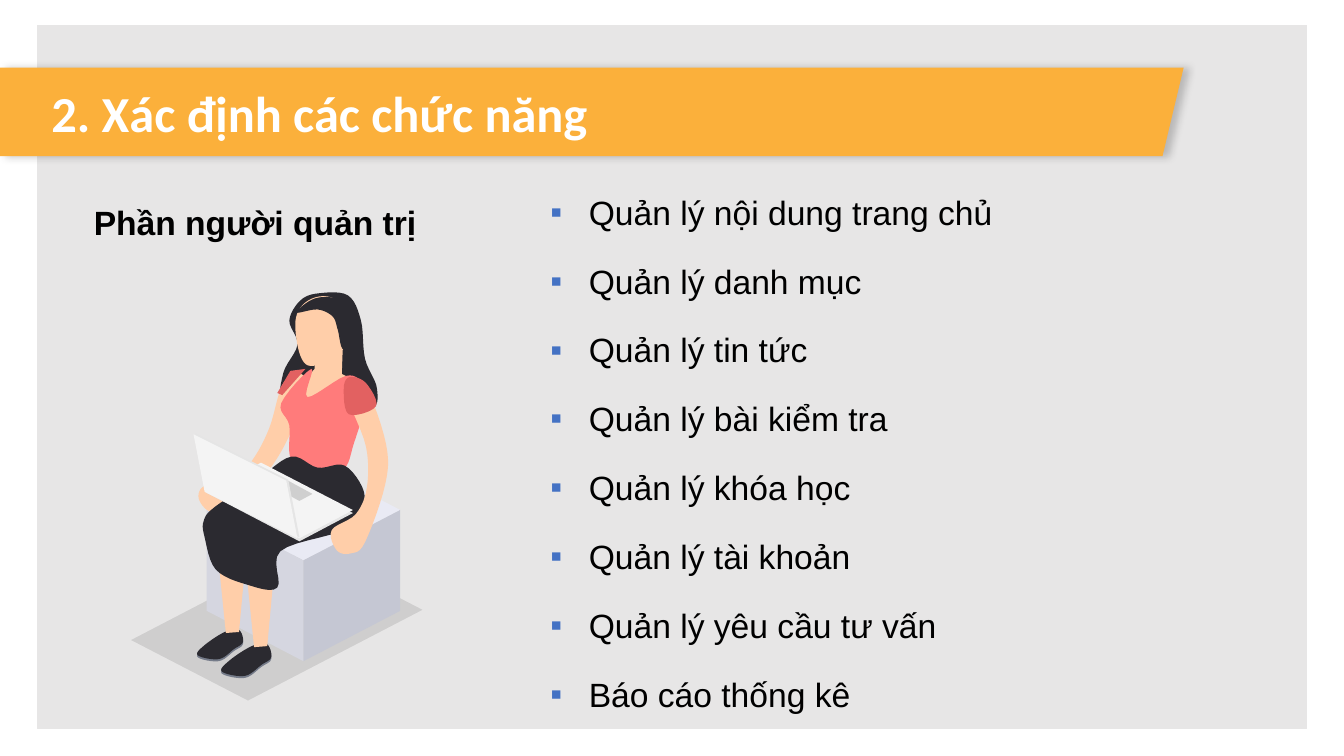
"""Build the slide that lists the administrator's functions."""
from dataclasses import dataclass

import pptx
import pptx.dml.color
import pptx.enum.shapes
import pptx.enum.text
import pptx.oxml.ns
import pptx.util
from lxml import etree


@dataclass(frozen=True)
class Theme:
    panel: str = "E7E6E6"
    banner: str = "FBB03B"
    white: str = "FFFFFF"
    black: str = "000000"
    bullet: str = "4472C4"
    hair: str = "2B2A30"
    skin: str = "FFCEA9"
    blouse: str = "FF7B7B"
    sleeve: str = "E26161"
    sole: str = "757B89"
    seat_top: str = "E9EAF4"
    seat_right: str = "C5C7D3"
    seat_left: str = "D5D6E0"
    laptop: str = "F4F4F4"
    laptop_edge: str = "E5E5E5"
    title_font: str = "Calibri"
    body_font: str = "Arial"
    title_size: int = 36
    body_size: int = 24


THEME = Theme()
COLUMNS, ROWS = 1333, 750
CURVE_STEPS = 6
FUNCTIONS = [
    "Quản lý nội dung trang chủ", "Quản lý danh mục", "Quản lý tin tức", "Quản lý bài kiểm tra",
    "Quản lý khóa học", "Quản lý tài khoản", "Quản lý yêu cầu tư vấn", "Báo cáo thống kê",
]

BANNER = [(0, 67), (0, 155), (1153, 155), (1174, 67)]
FLOOR_SHADOW = [(303, 545), (419, 605), (246, 695), (130, 635)]
BACK_HAIR = [(316, 291), (345, 293), (358, 318), (362, 356), (374, 386), (366, 408),
             (310, 418), (280, 402), (281, 370), (295, 342), (287, 318), (298, 298)]
NECK = [(313, 352), (340, 345), (339, 371), (351, 377), (329, 404), (306, 398), (296, 385), (312, 366)]
FAR_ARM = [(296, 370), (304, 385), (288, 430), (267, 466), (242, 489), (222, 506), (207, 507),
           (197, 494), (203, 482), (229, 478), (250, 457), (267, 425), (280, 382)]
BLOUSE = [(309, 366), (305, 394), (343, 373), (359, 381), (361, 405), (351, 440), (341, 465),
          (315, 465), (289, 456), (287, 422), (279, 400)]
FACE = [(293, 319), (303, 300), (324, 294), (348, 306), (354, 324), (340, 347), (311, 363), (298, 353)]
FRONT_HAIR = [(294, 310), (310, 297), (329, 295), (350, 302), (357, 330), (341, 347),
              (335, 327), (330, 314), (315, 307)]
SHOE = [(41, 0), (27, 2), (7, 15), (0, 25), (21, 29), (36, 19), (45, 12)]
LEG = [(214, 530), (224, 628), (237, 627), (246, 530)]
SKIRT = [(289, 453), (315, 464), (342, 462), (361, 488), (356, 514), (335, 528), (278, 547),
         (275, 583), (245, 580), (214, 565), (203, 533), (202, 517), (213, 503), (257, 474)]
NEAR_ARM = [(348, 378), (364, 386), (383, 441), (382, 481), (362, 538), (348, 549), (334, 546),
            (329, 526), (353, 510), (364, 483), (363, 443), (346, 397)]
NEAR_SLEEVE = [(373, 403), (346, 411), (341, 385), (347, 374), (363, 380)]
FAR_SLEEVE = [(303, 366), (288, 368), (275, 390), (280, 392)]
LAPTOP_BASE = [(205, 486), (259, 459), (350, 506), (297, 534)]
KEYPAD = [(310, 490), (297, 497), (273, 484), (286, 477)]
LAPTOP_LID = [(192, 431), (284, 477), (295, 534), (203, 488)]


class Canvas:
    """Draw styled elements on one slide, measured in grid columns and rows."""

    def __init__(self, presentation, theme):
        self.theme = theme
        self.slide = presentation.slides.add_slide(presentation.slide_layouts[6])
        self.column = presentation.slide_width / COLUMNS
        self.row = presentation.slide_height / ROWS

    def place(self, column, row):
        return round(column * self.column), round(row * self.row)

    def color(self, value):
        return pptx.dml.color.RGBColor.from_string(value)

    def child(self, parent, tag, **attributes):
        return etree.SubElement(parent, pptx.oxml.ns.qn(tag), attributes)

    def panel(self, left, top, width, height):
        shape = self.slide.shapes.add_shape(pptx.enum.shapes.MSO_SHAPE.RECTANGLE,
                                            *self.place(left, top), *self.place(width, height))
        shape.shadow.inherit = False
        shape.fill.solid()
        shape.fill.fore_color.rgb = shape.line.color.rgb = self.color(self.theme.panel)
        shape.line.width = pptx.util.Pt(1)

    def rounded(self, points):
        curve = []
        for index, start in enumerate(points):
            before, after = points[index - 1], points[(index + 1) % len(points)]
            beyond = points[(index + 2) % len(points)]
            for step in range(CURVE_STEPS):
                t = step / CURVE_STEPS
                curve.append(tuple(
                    b + t * (c - a + t * (2 * a - 5 * b + 4 * c - d + t * (3 * b - a - 3 * c + d))) / 2
                    for a, b, c, d in zip(before, start, after, beyond)))
        return curve

    def outline(self, points, fill, shapes=None, opacity=100, offset=(0, 0), scale=1):
        places = [self.place(x * scale + offset[0], y * scale + offset[1]) for x, y in points]
        builder = (shapes or self.slide.shapes).build_freeform(*places[0])
        builder.add_line_segments(places[1:], close=True)
        shape = builder.convert_to_shape()
        shape.shadow.inherit = False
        shape.fill.solid()
        shape.fill.fore_color.rgb = self.color(fill)
        shape.line.fill.background()
        if opacity < 100:
            tint = shape._element.spPr.find(".//" + pptx.oxml.ns.qn("a:srgbClr"))
            self.child(tint, "a:alpha", val=str(opacity * 1000))
        return shape

    def banner(self, text):
        shape = self.outline(BANNER, self.theme.banner)
        effects = shape._element.spPr.find(pptx.oxml.ns.qn("a:effectLst"))
        shadow = self.child(effects, "a:outerShdw", blurRad=str(pptx.util.Pt(5.6)),
                            dist=str(pptx.util.Pt(3.8)), dir="0", algn="l", rotWithShape="0")
        tint = self.child(shadow, "a:srgbClr", val=self.theme.black)
        self.child(tint, "a:alpha", val="20000")
        frame = shape.text_frame
        frame.word_wrap = True
        frame.vertical_anchor = pptx.enum.text.MSO_ANCHOR.MIDDLE
        frame.margin_left = self.place(51, 0)[0]
        paragraph = frame.paragraphs[0]
        paragraph.text = text
        paragraph.alignment = pptx.enum.text.PP_ALIGN.LEFT
        self.font(paragraph, self.theme.title_font, self.theme.title_size, self.theme.white, True)

    def font(self, paragraph, name, size, color, bold=False):
        paragraph.font.name = name
        paragraph.font.size = pptx.util.Pt(size)
        paragraph.font.bold = bold
        paragraph.font.color.rgb = self.color(color)

    def text(self, left, top, width, height, lines, spacing, margin, indent=0, bold=False):
        box = self.slide.shapes.add_textbox(*self.place(left, top), *self.place(width, height))
        frame = box.text_frame
        frame.word_wrap = True
        frame.margin_left = frame.margin_right = frame.margin_top = frame.margin_bottom = 0
        for index, line in enumerate(lines):
            paragraph = frame.add_paragraph() if index else frame.paragraphs[0]
            paragraph.text = line
            paragraph.line_spacing = spacing
            paragraph.space_before = pptx.util.Pt(6 if index else 0)
            properties = paragraph._p.get_or_add_pPr()
            properties.set("marL", str(self.place(margin, 0)[0]))
            properties.set("indent", str(self.place(indent, 0)[0]))
            if indent:
                tint = self.child(properties, "a:buClr")
                self.child(tint, "a:srgbClr", val=self.theme.bullet)
                self.child(properties, "a:buFont", typeface=self.theme.body_font)
                self.child(properties, "a:buChar", char="▪")
            self.font(paragraph, self.theme.body_font, self.theme.body_size, self.theme.black, bold)

    def seat(self, shapes, x, y, half_width, half_depth, height):
        front = y + half_depth
        top = [(x, front), (x + half_width, y), (x, y - half_depth), (x - half_width, y)]
        self.outline(top, self.theme.seat_top, shapes)
        for side, fill in ((x + half_width, self.theme.seat_right), (x - half_width, self.theme.seat_left)):
            self.outline([(x, front), (side, y), (side, y + height), (x, front + height)], fill, shapes)

    def illustration(self):
        theme = self.theme
        shapes = self.slide.shapes.add_group_shape().shapes
        self.outline(FLOOR_SHADOW, theme.black, shapes, 10)
        self.seat(shapes, 301, 506, 96, 50, 100)
        for points, fill in ((BACK_HAIR, theme.hair), (NECK, theme.skin), (FAR_ARM, theme.skin),
                             (BLOUSE, theme.blouse), (FACE, theme.skin), (FRONT_HAIR, theme.hair)):
            self.outline(points if points is NECK else self.rounded(points), fill, shapes)
        for leg_offset, (x, y), scale in (((0, 0), (196, 625), 1), ((28, 14), (220, 639), 1.09)):
            for drop, fill in ((2, theme.sole), (0, theme.hair)):
                self.outline(self.rounded(SHOE), fill, shapes, offset=(x, y + drop), scale=scale)
            self.outline(LEG, theme.skin, shapes, offset=leg_offset)
        for points, fill in ((SKIRT, theme.hair), (NEAR_ARM, theme.skin), (NEAR_SLEEVE, theme.sleeve)):
            self.outline(self.rounded(points), fill, shapes)
        self.outline(FAR_SLEEVE, theme.sleeve, shapes)
        self.outline(LAPTOP_BASE, theme.laptop_edge, shapes, offset=(0, 3))
        self.outline(LAPTOP_BASE, theme.laptop, shapes)
        self.outline(KEYPAD, theme.black, shapes, 15)
        self.outline(LAPTOP_LID, theme.laptop_edge, shapes, offset=(2, -1))
        self.outline(LAPTOP_LID, theme.laptop, shapes)


def main():
    presentation = pptx.Presentation()
    presentation.slide_width = pptx.util.Inches(13.33)
    presentation.slide_height = pptx.util.Inches(7.5)
    canvas = Canvas(presentation, THEME)
    canvas.panel(37, 25, 1259, 698)
    canvas.banner("2. Xác định các chức năng")
    canvas.text(81, 196, 388, 61, ["Phần người quản trị"], 1.1, 12, bold=True)
    canvas.text(534, 170, 717, 539, FUNCTIONS, 1.5, 50, -38)
    canvas.illustration()
    presentation.save("out.pptx")


if __name__ == "__main__":
    main()
